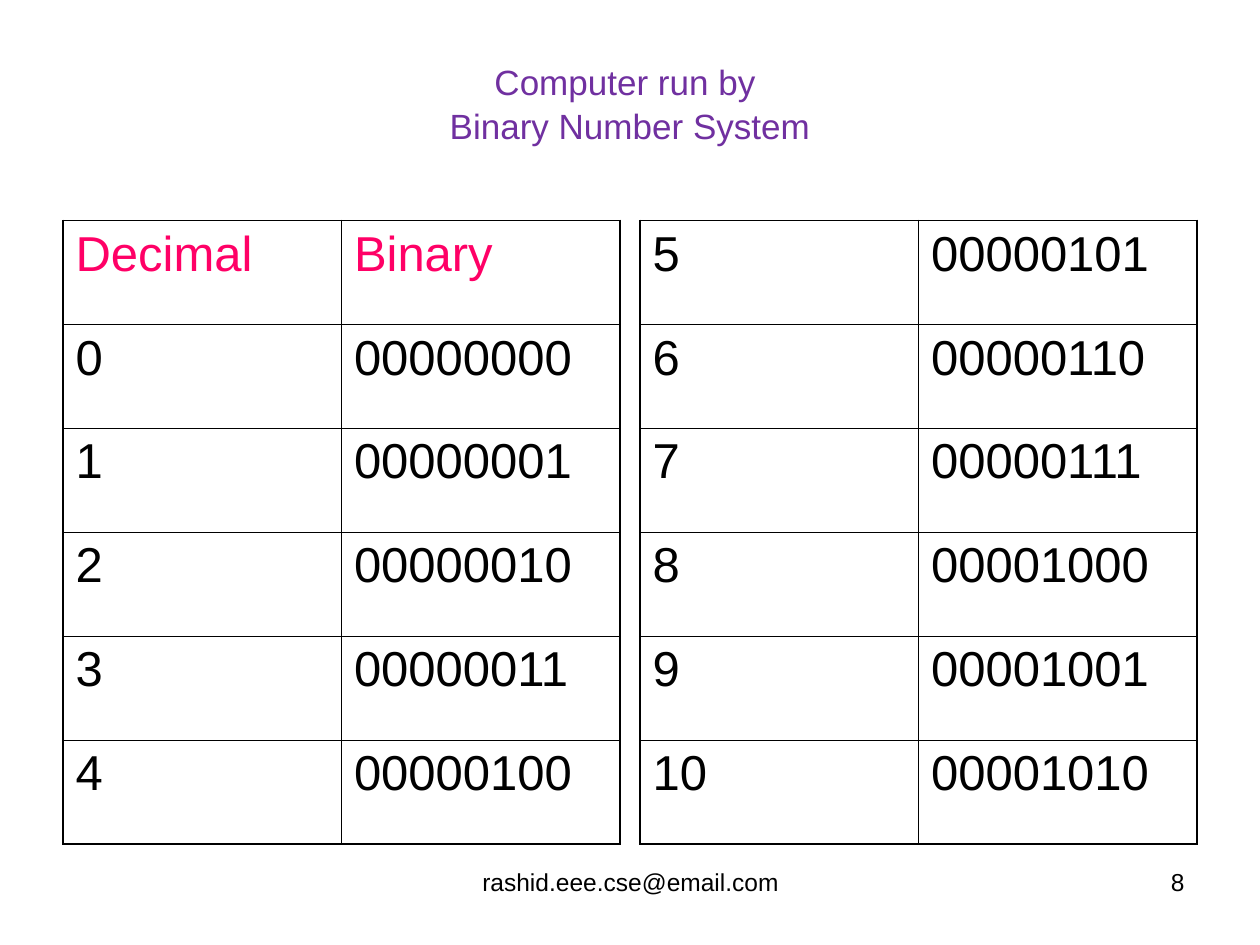
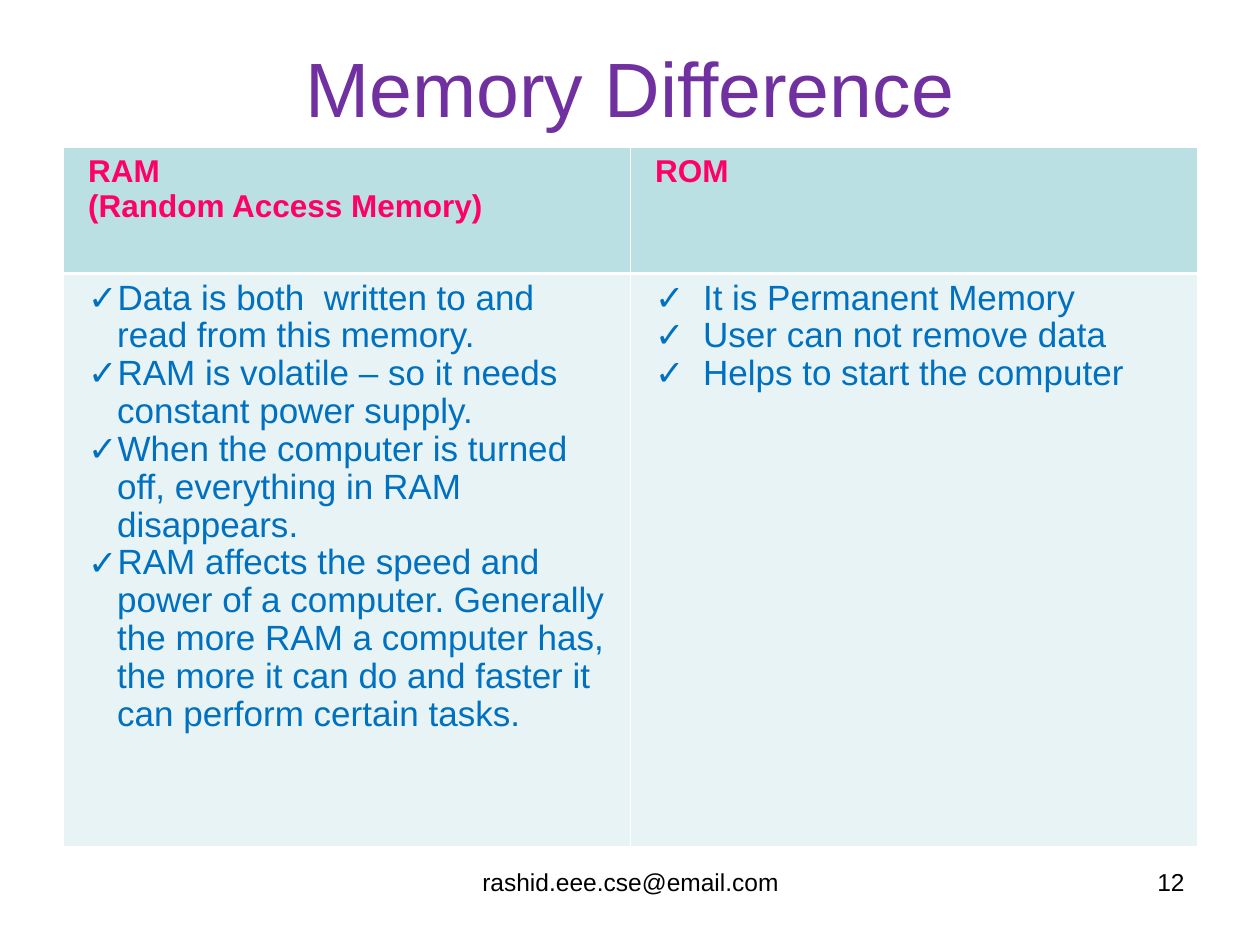
import dataclasses

import lxml.etree
import pptx
import pptx.dml.color
import pptx.enum.text
import pptx.oxml.ns
import pptx.util

SCALE = 9144
ALIGN = pptx.enum.text.PP_ALIGN
ANCHOR = pptx.enum.text.MSO_ANCHOR


@dataclasses.dataclass(frozen=True)
class Theme:
    font: str = "Arial"
    title: str = "7030A0"
    head: str = "FF0066"
    ink: str = "000000"
    point: str = "0070C0"
    white: str = "FFFFFF"
    band: str = "BBE0E3"
    pale: str = "E7F3F4"
    large: int = 44
    cell: int = 28
    body: int = 20
    label: int = 18
    small: int = 14
    thin: float = 0.45
    thick: float = 1.08
    rule: float = 1.47


def px(size):
    return pptx.util.Emu(size * SCALE)


def color(value):
    return pptx.dml.color.RGBColor.from_string(value)


def node(parent, tag, **attrs):
    return lxml.etree.SubElement(parent, pptx.oxml.ns.qn(tag), attrs)


class Deck:
    def __init__(self, theme):
        self.theme = theme
        self.file = pptx.Presentation()
        self.file.slide_width, self.file.slide_height = px(1000), px(750)
        self.slide = None

    def page(self, number, title, size, height, space=None):
        self.slide = self.file.slides.add_slide(self.file.slide_layouts[6])
        self.text((50, 30, 900, height), [title], size, self.theme.title,
                  ALIGN.CENTER, ANCHOR.MIDDLE, space)
        for box, note, align in (
            ((342, 683, 317, 52), "rashid.eee.cse@email.com", ALIGN.CENTER),
            ((717, 683, 233, 52), str(number), ALIGN.RIGHT),
        ):
            self.text(box, [note], self.theme.small, self.theme.ink, align)

    def text(self, box, lines, size, ink, align, anchor=ANCHOR.TOP, space=None):
        frame = self.slide.shapes.add_textbox(*map(px, box)).text_frame
        frame.word_wrap = True
        frame.vertical_anchor = anchor
        for para in self.fill(frame, lines, size, ink):
            para.alignment = align
            para.line_spacing = space

    def fill(self, frame, lines, size, ink, bold=False):
        for order, line in enumerate(lines):
            para = frame.add_paragraph() if order else frame.paragraphs[0]
            for part, words in enumerate(line.split("\n")):
                if part:
                    para.add_line_break()
                run = para.add_run()
                run.text = words
                run.font.name = self.theme.font
                run.font.size = pptx.util.Pt(size)
                run.font.bold = bold
                run.font.color.rgb = color(ink)
        return frame.paragraphs

    def table(self, box, rows, cols):
        table = self.slide.shapes.add_table(rows, cols, *map(px, box)).table
        table.first_row = table.horz_banding = False
        return table

    def border(self, cell, ink, widths):
        props = cell._tc.get_or_add_tcPr()
        for side, width in zip("LRTB", widths):
            line = node(props, f"a:ln{side}", w=str(pptx.util.Pt(width)))
            node(node(line, "a:solidFill"), "a:srgbClr", val=ink)

    def bullet(self, para, indent):
        props = para._p.get_or_add_pPr()
        props.set("marL", str(px(indent)))
        props.set("indent", str(px(-indent)))
        node(node(props, "a:buClr"), "a:srgbClr", val=self.theme.point)
        node(props, "a:buFont", typeface=self.theme.font)
        node(props, "a:buChar", char="✓")

    def grid(self, left, rows):
        theme = self.theme
        table = self.table((left, 175, 442, 495), len(rows), 2)
        last = len(rows) - 1
        for i, row in enumerate(rows):
            for j, word in enumerate(row):
                cell = table.cell(i, j)
                edges = (j == 0, j == 1, i == 0, i == last)
                self.border(cell, theme.ink,
                            [theme.thick if edge else theme.thin for edge in edges])
                cell.fill.background()
                ink = theme.ink if word.isdigit() else theme.head
                for para in self.fill(cell.text_frame, [word], theme.cell, ink):
                    para.space_before = pptx.util.Pt(7)

    def compare(self, sides):
        theme = self.theme
        table = self.table((50, 117, 900, 555), 2, len(sides))
        table.rows[0].height, table.rows[1].height = px(100), px(455)
        thin, rule = theme.thin, theme.rule
        for j, (head, points, indent) in enumerate(sides):
            top, base = table.cell(0, j), table.cell(1, j)
            for cell, shade, widths in (
                (top, theme.band, (thin, thin, thin, rule)),
                (base, theme.pale, (thin, thin, rule, thin)),
            ):
                self.border(cell, theme.white, widths)
                cell.fill.solid()
                cell.fill.fore_color.rgb = color(shade)
                cell.margin_left = cell.margin_right = px(20)
            self.fill(top.text_frame, head, theme.label, theme.head, True)
            for para in self.fill(base.text_frame, points, theme.body, theme.point):
                para.line_spacing = 0.97
                self.bullet(para, indent)


def main():
    theme = Theme()
    deck = Deck(theme)

    deck.page(8, "Computer run by \nBinary Number System", theme.body, 103, 1.04)
    pairs = [(str(n), f"{n:08b}") for n in range(11)]
    deck.grid(50, [("Decimal", "Binary")] + pairs[:5])
    deck.grid(508, pairs[5:])

    deck.page(12, "Memory Difference", theme.large, 78)
    deck.compare([
        (["RAM", "(Random Access Memory)"], [
            "Data is both  written to and read from this memory.",
            "RAM is volatile – so it needs constant power supply.",
            "When the computer is turned off, everything in RAM  disappears.",
            "RAM affects the speed and power of a computer. Generally the more "
            "RAM a computer has, the more it can do and faster it can perform "
            "certain tasks.",
        ], 23),
        (["ROM"], [
            "It is Permanent Memory",
            "User can not remove data",
            "Helps to start the computer",
        ], 38),
    ])

    deck.file.save("out.pptx")


if __name__ == "__main__":
    main()
